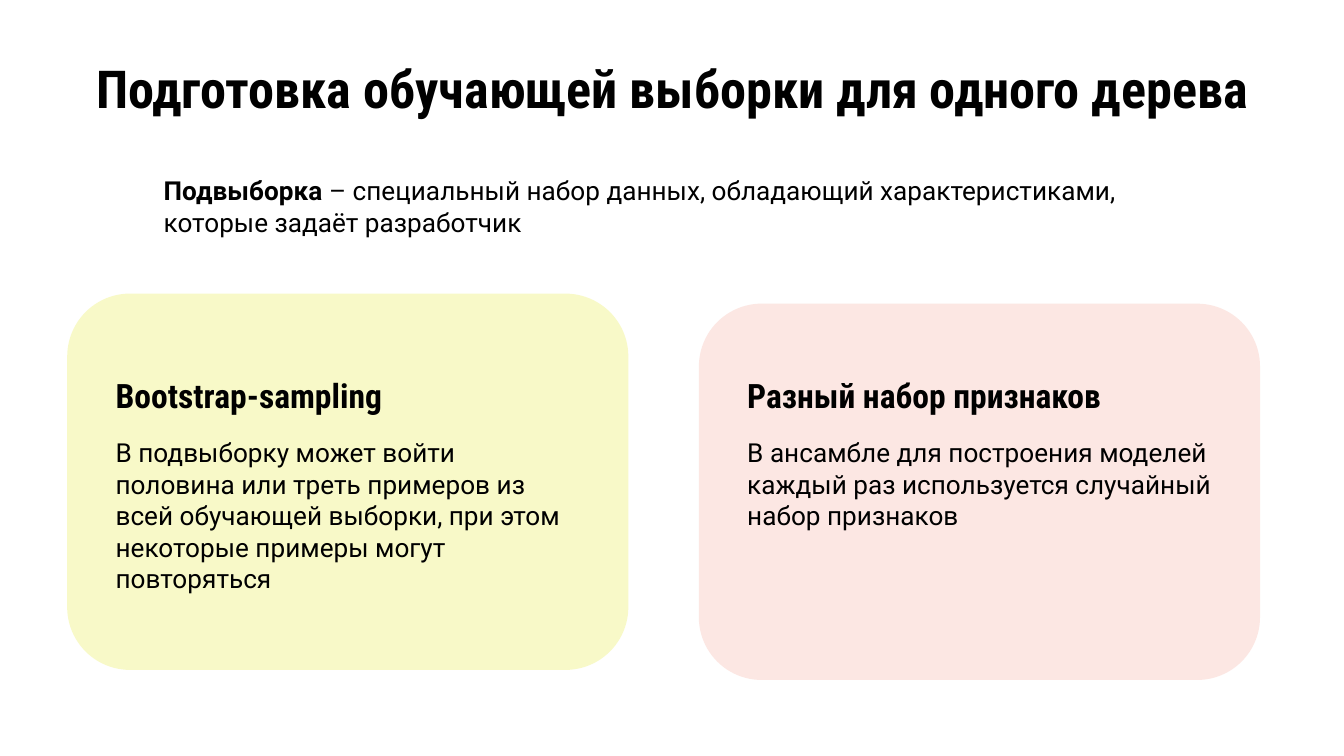
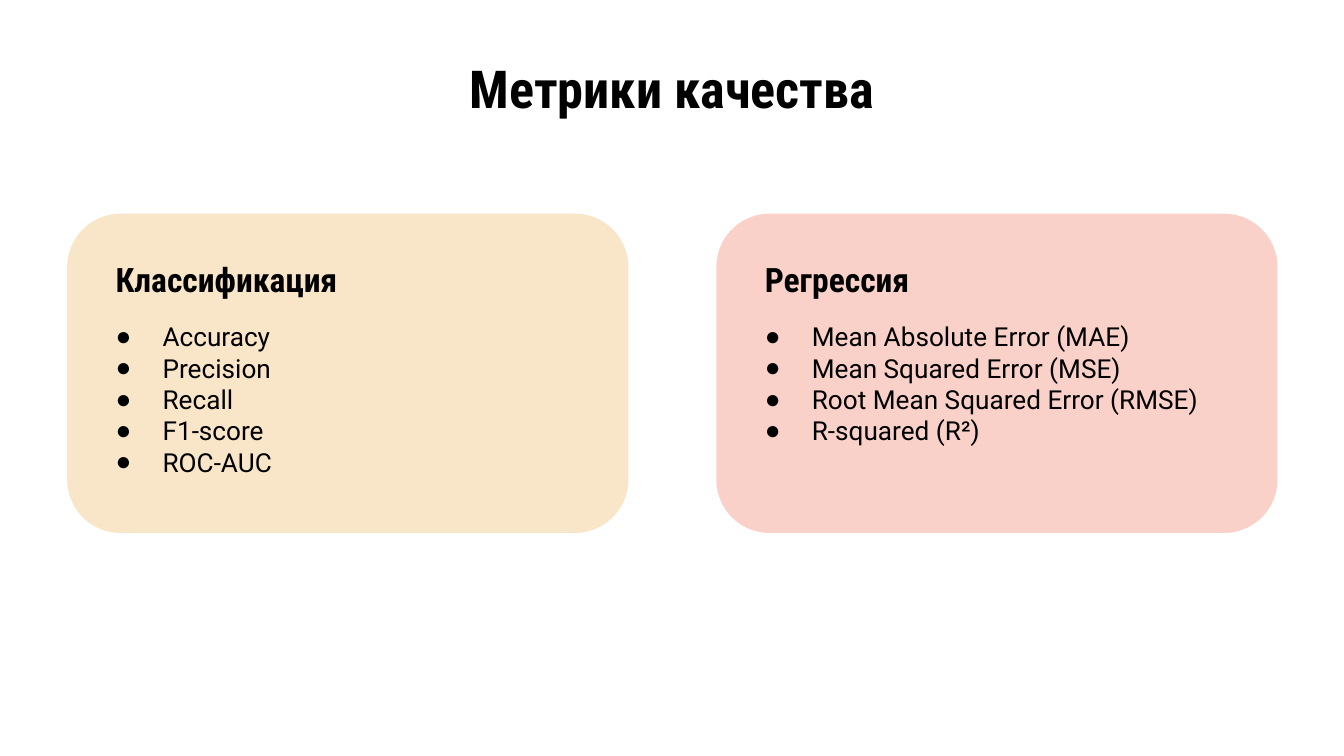
from lxml import etree
from pptx import Presentation
from pptx.dml.color import RGBColor
from pptx.enum.shapes import MSO_SHAPE
from pptx.enum.text import MSO_ANCHOR, MSO_AUTO_SIZE, PP_ALIGN
from pptx.oxml.ns import qn
from pptx.util import Emu, Pt

ROUNDED = MSO_SHAPE.ROUNDED_RECTANGLE
TOP, MIDDLE = MSO_ANCHOR.TOP, MSO_ANCHOR.MIDDLE
LEFT, CENTER = PP_ALIGN.LEFT, PP_ALIGN.CENTER
NO_AUTOFIT = MSO_AUTO_SIZE.NONE

BLACK = RGBColor(0x00, 0x00, 0x00)
WHITE = RGBColor(0xFF, 0xFF, 0xFF)
RED = RGBColor(0xEA, 0x48, 0x27)
YELLOW = RGBColor(0xE4, 0xEA, 0x27)
ORANGE = RGBColor(0xE9, 0x9B, 0x27)

HEADING_FONT = "Roboto Condensed"
BODY_FONT = "Roboto"
EMU_PER_PX = 4572
COMPARISON_LAYOUT = 4

MARGIN = 100
CARD_WIDTH = 835
CARD_PADDING = 52
BODY_OFFSET = 78
BULLET_INDENT = 70
INSET = 20


def px(length):
    return Emu(length * EMU_PER_PX)


def place(shape, left, top, width, height):
    shape.left, shape.top = px(left), px(top)
    shape.width, shape.height = px(width), px(height)


def set_bullet(paragraph, bulleted):
    properties = paragraph._p.get_or_add_pPr()
    indent = px(BULLET_INDENT) if bulleted else 0
    properties.set("marL", str(indent))
    properties.set("indent", str(-indent))
    if not bulleted:
        etree.SubElement(properties, qn("a:buNone"))
        return
    bullet_color = etree.SubElement(properties, qn("a:buClr"))
    etree.SubElement(bullet_color, qn("a:srgbClr"), val=str(BLACK))
    etree.SubElement(properties, qn("a:buChar"), char="●")


def write_text(shape, paragraphs, font=BODY_FONT, size=14, bold=False,
               align=LEFT, anchor=TOP, bulleted=False):
    frame = shape.text_frame
    frame.word_wrap = True
    frame.auto_size = NO_AUTOFIT
    frame.vertical_anchor = anchor
    frame.margin_left = frame.margin_right = px(INSET)
    frame.margin_top = frame.margin_bottom = px(INSET)
    for index, content in enumerate(paragraphs):
        paragraph = frame.add_paragraph() if index else frame.paragraphs[0]
        paragraph.alignment = align
        paragraph.line_spacing = 1.0
        paragraph.space_before = paragraph.space_after = Pt(0)
        set_bullet(paragraph, bulleted)
        pieces = [(content, bold)] if isinstance(content, str) else content
        for words, is_bold in pieces:
            run = paragraph.add_run()
            run.text = words
            run.font.name = font
            run.font.size = Pt(size)
            run.font.bold = is_bold
            run.font.color.rgb = BLACK


def add_titled_slide(deck, title):
    slide = deck.slides.add_slide(deck.slide_layouts[COMPARISON_LAYOUT])
    slide.background.fill.solid()
    slide.background.fill.fore_color.rgb = WHITE
    place(slide.shapes.title, MARGIN, 90, 1800, 82)
    write_text(slide.shapes.title, [title], font=HEADING_FONT, size=28,
               bold=True, align=CENTER, anchor=MIDDLE)
    return slide


def add_panel(slide, left, top, height, color, opacity):
    panel = slide.shapes.add_shape(ROUNDED, px(left), px(top),
                                   px(CARD_WIDTH), px(height))
    panel.shadow.inherit = False
    panel.adjustments[0] = 0.167
    panel.line.fill.background()
    panel.fill.solid()
    panel.fill.fore_color.rgb = color
    tint = panel.fill._xPr.find(".//" + qn("a:srgbClr"))
    etree.SubElement(tint, qn("a:alpha"), val=str(opacity * 1000))
    panel._element.getparent().insert(2, panel._element)


def add_card(slide, column, left, top, height, color, opacity,
             heading_top, heading, body, heading_width=462, bulleted=False):
    add_panel(slide, left, top, height, color, opacity)
    placeholders = {item.placeholder_format.idx: item
                    for item in slide.placeholders}
    card_heading = placeholders[2 * column + 1]
    card_body = placeholders[2 * column + 2]
    text_left = left + CARD_PADDING
    place(card_heading, text_left, heading_top, heading_width, 72)
    write_text(card_heading, [heading], font=HEADING_FONT, size=18,
               bold=True, anchor=MIDDLE)
    place(card_body, text_left, heading_top + BODY_OFFSET, 732, 248)
    write_text(card_body, body, bulleted=bulleted)


def build_sampling_slide(deck):
    slide = add_titled_slide(
        deck, "Подготовка обучающей выборки для одного дерева")
    add_card(slide, 0, MARGIN, 437, 560, YELLOW, 25, 552,
             "Bootstrap-sampling",
             ["В подвыборку может войти половина или треть примеров из всей "
              "обучающей выборки, при этом некоторые примеры могут "
              "повторяться"])
    add_card(slide, 1, 1040, 452, 560, RED, 13, 552,
             "Разный набор признаков",
             ["В ансамбле для построения моделей каждый раз используется "
              "случайный набор признаков"], heading_width=582)
    definition = slide.shapes.add_textbox(px(224), px(240),
                                          px(1528), px(248))
    write_text(definition, [[
        ("Подвыборка", True),
        (" – специальный набор данных, обладающий характеристиками, "
         "которые задаёт разработчик", False)]])


def build_metrics_slide(deck):
    slide = add_titled_slide(deck, "Метрики качества")
    add_card(slide, 0, MARGIN, 318, 475, ORANGE, 25, 379, "Классификация",
             ["Accuracy", "Precision", "Recall", "F1-score", "ROC-AUC"],
             bulleted=True)
    add_card(slide, 1, 1066, 318, 475, RED, 25, 379, "Регрессия",
             ["Mean Absolute Error (MAE)", "Mean Squared Error (MSE)",
              "Root Mean Squared Error (RMSE)", "R-squared (R²)"],
             bulleted=True)


def main():
    deck = Presentation()
    deck.slide_width, deck.slide_height = px(2000), px(1125)
    build_sampling_slide(deck)
    build_metrics_slide(deck)
    deck.save("out.pptx")


if __name__ == "__main__":
    main()
